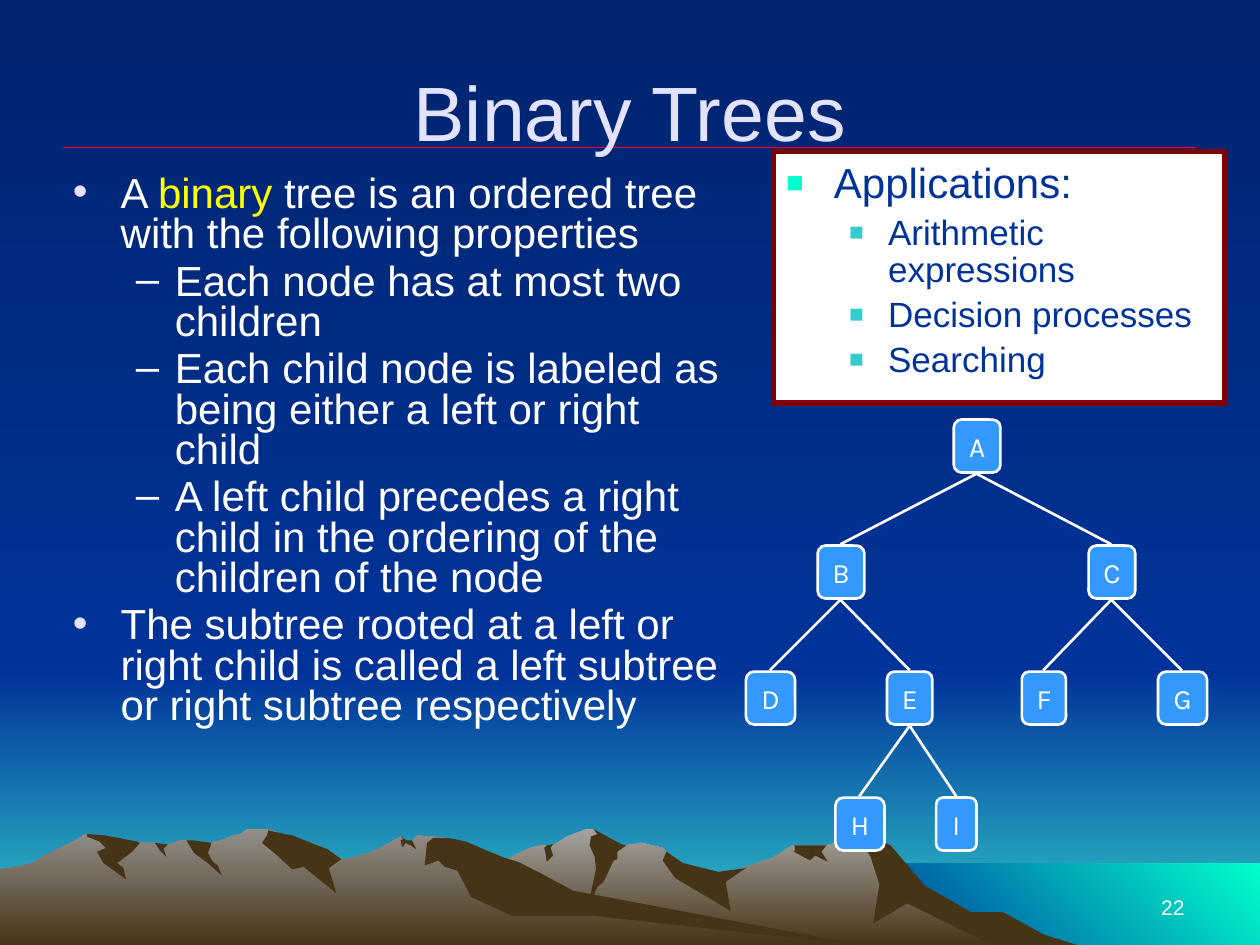
"""Builds the Binary Trees slide with its mountain backdrop, bullet lists and tree."""
from lxml import etree
from pptx import Presentation
from pptx import util as u
from pptx.dml.color import RGBColor
from pptx.enum import shapes, text
from pptx.oxml import ns

PX = 9144
WIDTH, HEIGHT = 1000, 750

WHITE = RGBColor(0xFF, 0xFF, 0xFF)
LAVENDER = RGBColor(0xE3, 0xE3, 0xFF)
YELLOW = RGBColor(0xFF, 0xFF, 0x00)
MIDNIGHT = RGBColor(0x00, 0x24, 0x6D)
NAVY = RGBColor(0x00, 0x33, 0x99)
TEAL = RGBColor(0x33, 0xCC, 0xCC)
AQUA = RGBColor(0x00, 0xFF, 0xCC)
EARTH = RGBColor(0x46, 0x34, 0x16)
FAR_ROCK = RGBColor(0xA5, 0xA2, 0x9F)
NEAR_ROCK = RGBColor(0x93, 0x8F, 0x8B)
RED = RGBColor(0xEF, 0x01, 0x29)
MAROON = RGBColor(0x80, 0x00, 0x00)
NODE_BLUE = RGBColor(0x33, 0x99, 0xFF)

FAR_RANGE = [
    (802, 740), (778, 727), (764, 723), (723, 698), (702, 671), (685, 660), (676, 666),
    (656, 671), (629, 671), (613, 681), (566, 697), (536, 690), (529, 676), (526, 673),
    (509, 669), (497, 671), (486, 673), (474, 661), (471, 658), (465, 658), (450, 664),
    (444, 668), (438, 671), (430, 671), (424, 672), (412, 677), (405, 681), (394, 685),
    (355, 698), (327, 709), (277, 739), (258, 751), (821, 751)]
FAR_SHADOWS = [
    [(796, 724), (771, 724), (734, 703), (707, 671), (685, 660), (689, 664), (685, 671),
     (691, 680), (698, 702), (693, 733), (720, 717), (792, 752), (858, 751), (829, 742)],
    [(471, 658), (474, 662), (469, 664), (468, 671), (472, 680), (473, 690), (465, 727),
     (474, 704), (479, 700), (487, 683), (490, 682), (490, 676), (497, 671), (493, 670)],
    [(529, 676), (526, 683), (536, 697), (580, 723), (576, 700), (592, 689), (570, 692),
     (542, 685)],
    [(650, 671), (630, 671), (631, 672), (631, 675), (630, 676), (643, 683), (647, 679),
     (657, 684), (652, 676), (656, 671)],
    [(433, 677), (432, 673), (434, 671), (439, 670), (437, 673), (439, 679), (434, 684)]]
NEAR_RANGE = [
    (690, 751), (667, 748), (432, 712), (354, 665), (331, 663), (327, 668), (323, 668),
    (318, 664), (296, 676), (279, 681), (271, 682), (260, 676), (236, 681), (223, 663),
    (219, 660), (212, 658), (196, 658), (191, 662), (186, 663), (178, 666), (168, 669),
    (160, 671), (148, 667), (143, 667), (132, 671), (128, 671), (123, 669), (111, 669),
    (94, 671), (68, 662), (56, 669), (46, 674), (35, 679), (26, 685), (14, 688), (0, 690),
    (0, 751)]
NEAR_SHADOWS = [
    [(212, 663), (208, 669), (219, 678), (232, 690), (241, 688), (267, 709), (261, 689),
     (271, 682), (260, 674), (252, 671), (232, 663), (226, 662), (213, 659)],
    [(370, 668), (361, 666), (354, 665), (344, 665), (339, 669), (337, 687), (348, 683),
     (353, 688), (363, 691), (374, 712), (407, 727), (472, 727), (690, 751), (683, 750),
     (455, 707), (427, 692), (411, 684), (401, 681), (386, 675)],
    [(318, 667), (320, 666), (318, 664), (323, 667), (327, 667), (330, 673), (330, 674),
     (326, 671), (322, 669), (320, 672), (319, 672)],
    [(154, 667), (161, 668), (168, 669), (165, 677), (169, 684), (173, 687), (176, 695),
     (165, 685), (154, 677), (148, 667)],
    [(133, 670), (130, 674), (132, 680), (127, 675), (123, 669)],
    [(109, 668), (111, 669), (105, 676), (93, 685), (98, 689), (100, 698), (82, 685),
     (77, 676), (84, 673), (79, 668), (69, 664), (69, 662), (83, 663), (94, 665)]]

PROPERTIES = [
    (0, [("A ", WHITE), ("binary", YELLOW),
         (" tree is an ordered tree with the following properties", WHITE)]),
    (1, [("Each node has at most two children", WHITE)]),
    (1, [("Each child node is labeled as being either a left or right child", WHITE)]),
    (1, [("A left child precedes a right child in the ordering of the children of the node",
          WHITE)]),
    (0, [("The subtree rooted at a left or right child is called a left subtree "
          "or right subtree respectively", WHITE)])]
APPLICATIONS = [(0, [("Applications:", NAVY)])] + [
    (1, [(use, NAVY)]) for use in ("Arithmetic expressions", "Decision processes", "Searching")]

TREE = {"A": (775, 0, 37, None), "B": (667, 1, 37, "A"), "C": (882, 1, 37, "A"),
        "D": (611, 2, 39, "B"), "E": (722, 2, 36, "B"), "F": (828, 2, 35, "C"),
        "G": (938, 2, 39, "C"), "H": (682, 3, 39, "E"), "I": (759, 3, 32, "E")}
ROOT_TOP, LEVEL_STEP, NODE_HEIGHT = 333, 100, 42


def add_run(paragraph, words, *, size, color, font="Arial"):
    run = paragraph.add_run()
    run.text = words
    run.font.size, run.font.name = u.Pt(size), font
    run.font.color.rgb = color


def paint(fill, colors, angle=270):
    if len(colors) == 1:
        fill.solid()
        fill.fore_color.rgb = colors[0]
        return
    fill.gradient()
    fill.gradient_angle = angle
    for stop, color, position in zip(fill.gradient_stops, colors, (0, 1)):
        stop.color.rgb, stop.position = color, position


class Slide:
    def __init__(self, deck):
        self.page = deck.slides.add_slide(deck.slide_layouts[5])
        self.items = self.page.shapes
        paint(self.page.background.fill, (MIDNIGHT, NAVY))

    def style(self, shape, colors, angle=270, border=None, weight=1.5):
        shape.shadow.inherit = False
        paint(shape.fill, colors, angle)
        if border is None:
            shape.line.fill.background()
        else:
            shape.line.color.rgb, shape.line.width = border, u.Pt(weight)
        return shape

    def box(self, bounds, *colors, kind=shapes.MSO_SHAPE.RECTANGLE, **look):
        shape = self.items.add_shape(kind, *(n * PX for n in bounds))
        return self.style(shape, colors, **look)

    def outline(self, points, *colors):
        builder = self.items.build_freeform(*points[0], scale=PX)
        builder.add_line_segments(points[1:], close=True)
        self.style(builder.convert_to_shape(), colors)

    def line(self, start, end, color, weight):
        ends = (n * PX for n in (*start, *end))
        link = self.items.add_connector(shapes.MSO_CONNECTOR.STRAIGHT, *ends)
        link.line.color.rgb, link.line.width = color, u.Pt(weight)
        etree.SubElement(link._element.spPr, ns.qn("a:effectLst"))

    def textbox(self, bounds):
        return self.items.add_textbox(*(n * PX for n in bounds))

    def label(self, shape, words, align, anchor, wrap=True, **form):
        frame = shape.text_frame
        frame.word_wrap, frame.vertical_anchor = wrap, anchor
        frame.paragraphs[0].alignment = align
        add_run(frame.paragraphs[0], words, **form)

    def title(self, words, bounds, **form):
        heading = self.items.title
        heading.left, heading.top, heading.width, heading.height = (n * PX for n in bounds)
        self.items._spTree.append(heading._element)
        self.label(heading, words, text.PP_ALIGN.CENTER, text.MSO_ANCHOR.MIDDLE, **form)

    def bullets(self, shape, entries, marks, tints, sizes, spacing, scale=100):
        frame = shape.text_frame
        frame.word_wrap, frame.vertical_anchor = True, text.MSO_ANCHOR.TOP
        frame.margin_top = 9 * PX
        for index, (level, parts) in enumerate(entries):
            line = frame.add_paragraph() if index else frame.paragraphs[0]
            line.level, line.alignment = level, text.PP_ALIGN.LEFT
            line.line_spacing = spacing
            line.space_before = u.Pt(sizes[level] // 5 if index else 0)
            props = line._p.get_or_add_pPr()
            left, hang = ((38, 38), (81, 31))[level]
            props.set("marL", str(left * PX))
            props.set("indent", str(-hang * PX))
            tint = etree.SubElement(props, ns.qn("a:buClr"))
            etree.SubElement(tint, ns.qn("a:srgbClr"), val=str(tints[level]))
            etree.SubElement(props, ns.qn("a:buSzPct"), val=str(scale * 1000))
            etree.SubElement(props, ns.qn("a:buFont"), typeface="Arial")
            etree.SubElement(props, ns.qn("a:buChar"), char=marks[level])
            for words, color in parts:
                add_run(line, words, size=sizes[level], color=color)

    def node(self, name):
        center, level, width, parent = TREE[name]
        top = ROOT_TOP + level * LEVEL_STEP
        tile = self.box((center - width // 2, top, width, NODE_HEIGHT), NODE_BLUE,
                        kind=shapes.MSO_SHAPE.ROUNDED_RECTANGLE, border=WHITE)
        self.label(tile, name, text.PP_ALIGN.CENTER, text.MSO_ANCHOR.MIDDLE, wrap=False,
                   size=16, color=WHITE, font="Karla")
        if parent:
            parent_base = top - LEVEL_STEP + NODE_HEIGHT + 1
            self.line((TREE[parent][0], parent_base), (center, top - 1), WHITE, 1.5)


def main():
    deck = Presentation()
    deck.slide_width, deck.slide_height = WIDTH * PX, HEIGHT * PX
    slide = Slide(deck)
    slide.box((0, 533, WIDTH, 217), NAVY, TEAL)
    slide.box((0, 0, WIDTH, 533), MIDNIGHT, NAVY)
    slide.box((683, 685, 317, 65), NAVY, AQUA, angle=45)
    for ridge, rock, shadows in ((FAR_RANGE, FAR_ROCK, FAR_SHADOWS),
                                 (NEAR_RANGE, NEAR_ROCK, NEAR_SHADOWS)):
        slide.outline(ridge, rock, EARTH)
        for shadow in shadows:
            slide.outline(shadow, EARTH)
    slide.line((50, 117), (950, 117), RED, 0.75)
    slide.label(slide.textbox((717, 683, 233, 52)), "22", text.PP_ALIGN.RIGHT,
                text.MSO_ANCHOR.BOTTOM, size=12, color=WHITE)
    slide.title("Binary Trees", (50, 25, 900, 125), size=44, color=LAVENDER)
    slide.bullets(slide.textbox((48, 131, 534, 496)), PROPERTIES, "•–", (LAVENDER, WHITE),
                  (24, 24), 0.8)
    slide.bullets(slide.box((614, 120, 358, 200), WHITE, border=MAROON, weight=3),
                  APPLICATIONS, "■■", (AQUA, TEAL), (24, 20), 0.9, scale=70)
    for name in TREE:
        slide.node(name)
    deck.save("out.pptx")


if __name__ == "__main__":
    main()
